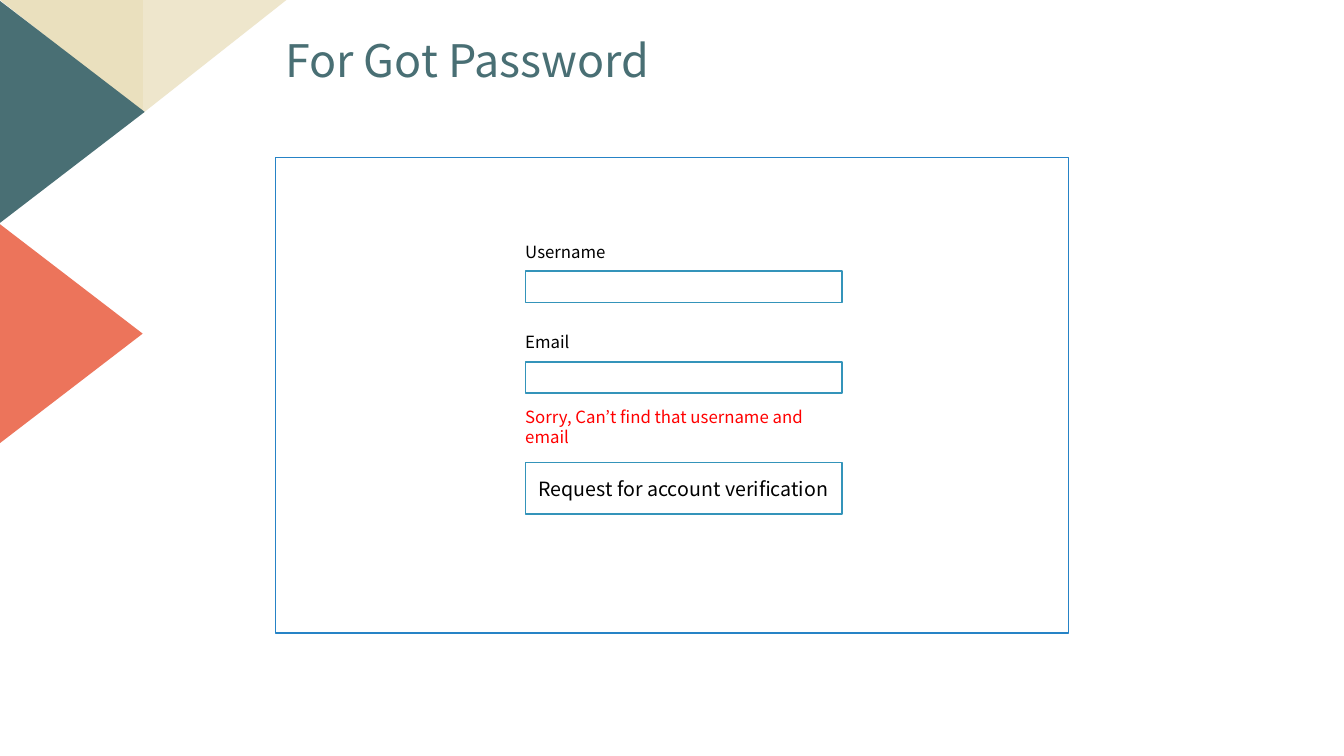
from dataclasses import dataclass

from pptx import Presentation
from pptx.dml.color import RGBColor
from pptx.enum.shapes import MSO_SHAPE
from pptx.enum.text import MSO_ANCHOR, MSO_AUTO_SIZE, PP_ALIGN
from pptx.util import Inches, Pt


@dataclass(frozen=True)
class Theme:
    font: str = "Noto Sans CJK KR"
    sand: str = "EAE0BE"
    pale_sand: str = "EEE6CC"
    teal: str = "496F74"
    coral: str = "EC745B"
    white: str = "FFFFFF"
    black: str = "000000"
    red: str = "FF0000"
    panel_line: str = "2683C6"
    field_line: str = "3494BA"
    title_size: int = 32
    button_size: int = 14
    label_size: int = 12


THEME = Theme()


def color(value):
    return RGBColor.from_string(value)


def style_text(paragraph, size, text_color, alignment=PP_ALIGN.LEFT):
    paragraph.alignment = alignment
    paragraph.font.name = THEME.font
    paragraph.font.size = Pt(size)
    paragraph.font.color.rgb = color(text_color)


def add_triangle(slide, kind, box, rotation, fill, flipped=False):
    shape = slide.shapes.add_shape(kind, *map(Inches, box))
    shape.shadow.inherit = False
    shape.rotation = rotation
    shape.fill.solid()
    shape.fill.fore_color.rgb = color(fill)
    shape.line.fill.background()
    if flipped:
        shape._element.spPr.get_or_add_xfrm().set("flipH", "1")


def add_corner_decoration(slide, left, top):
    width, height = 1.42, 1.12
    right_triangle = MSO_SHAPE.RIGHT_TRIANGLE
    add_triangle(slide, right_triangle, (left, top, width, height), 180, THEME.sand)
    add_triangle(slide, right_triangle, (left + width, top, width, height), 180,
                 THEME.pale_sand, flipped=True)
    arrow = MSO_SHAPE.ISOSCELES_TRIANGLE
    add_triangle(slide, arrow, (left - 0.39, top + 0.39, 2.21, 1.44), 90, THEME.teal)
    add_triangle(slide, arrow, (left - 0.41, top + 2.59, 2.21, 1.44), 90, THEME.coral)


def add_title(slide, left, top, width, height):
    title = slide.shapes.title
    title.left, title.top, title.width, title.height = map(
        Inches, (left, top, width, height))
    frame = title.text_frame
    frame.text = "For Got Password"
    frame.word_wrap = True
    frame.auto_size = MSO_AUTO_SIZE.NONE
    frame.vertical_anchor = MSO_ANCHOR.MIDDLE
    paragraph = frame.paragraphs[0]
    paragraph.line_spacing = 0.9
    style_text(paragraph, THEME.title_size, THEME.teal)


def add_outlined_box(slide, left, top, width, height, line):
    shape = slide.shapes.add_shape(
        MSO_SHAPE.RECTANGLE, *map(Inches, (left, top, width, height)))
    shape.shadow.inherit = False
    shape.fill.solid()
    shape.fill.fore_color.rgb = color(THEME.white)
    shape.line.color.rgb = color(line)
    shape.line.width = Pt(1)
    return shape


def add_label(slide, text, left, top, width, height, text_color):
    label = slide.shapes.add_textbox(*map(Inches, (left, top, width, height)))
    frame = label.text_frame
    frame.text = text
    frame.word_wrap = True
    frame.vertical_anchor = MSO_ANCHOR.MIDDLE
    frame.margin_left = 0
    style_text(frame.paragraphs[0], THEME.label_size, text_color)


def add_button(slide, text, left, top, width, height):
    button = add_outlined_box(slide, left, top, width, height, THEME.field_line)
    frame = button.text_frame
    frame.text = text
    frame.vertical_anchor = MSO_ANCHOR.MIDDLE
    style_text(frame.paragraphs[0], THEME.button_size, THEME.black, PP_ALIGN.CENTER)


def add_password_form(slide, left, top, width, height):
    add_outlined_box(slide, left, top, width, height, THEME.panel_line)
    field_left, field_top = left + 2.48, top + 0.78
    field_width, row_height = 3.14, 0.31
    for index, name in enumerate(("Username", "Email")):
        label_top = field_top + index * 0.9
        add_label(slide, name, field_left, label_top, 1, row_height, THEME.black)
        add_outlined_box(slide, field_left, label_top + 0.35, field_width, row_height,
                         THEME.field_line)
    add_label(slide, "Sorry, Can’t find that username and email", field_left,
              field_top + 1.74, field_width, row_height, THEME.red)
    add_button(slide, "Request for account verification", field_left,
               field_top + 2.25, field_width, 0.51)


def main():
    presentation = Presentation()
    presentation.slide_width = Inches(13.33)
    presentation.slide_height = Inches(7.5)
    slide = presentation.slides.add_slide(presentation.slide_layouts[5])
    add_corner_decoration(slide, 0, 0)
    add_title(slide, 2.73, 0.33, 6.06, 0.59)
    add_password_form(slide, 2.73, 1.56, 7.87, 4.72)
    presentation.save("out.pptx")


if __name__ == "__main__":
    main()
